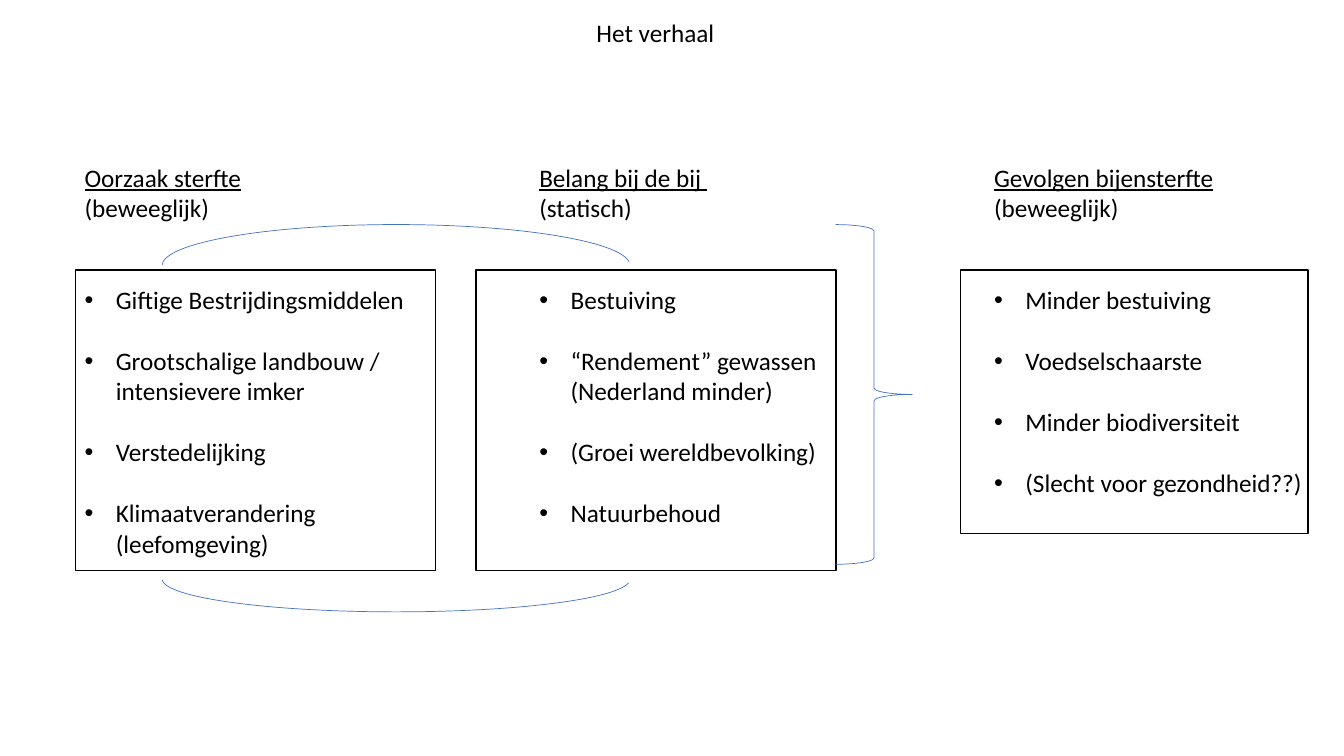
from lxml import etree
from pptx import Presentation
from pptx import util as u
from pptx.dml import color
from pptx.enum import shapes, text
from pptx.oxml import ns

COLORS = {"ink": "000000", "paper": "FFFFFF", "accent": "4472C4"}
FONT, SIZE, LINE = "Calibri", 18, 22
INDENT = 0.79

COLUMNS = [
    dict(heading="Oorzaak sterfte", note="(beweeglijk)", frame=(1.9, 6.8, 9.07, 7.57), height=11.02,
         items=["Giftige Bestrijdingsmiddelen", "Grootschalige landbouw / intensievere imker",
                "Verstedelijking", "Klimaatverandering (leefomgeving)"]),
    dict(heading="Belang bij de bij ", note="(statisch)", frame=(12, 6.8, 9.07, 7.57), height=11.78,
         items=["Bestuiving", "“Rendement” gewassen (Nederland minder)",
                "(Groei wereldbevolking)", "Natuurbehoud"]),
    dict(heading="Gevolgen bijensterfte", note="(beweeglijk)", frame=(24.2, 6.8, 8.76, 6.65), height=8.71,
         items=["Minder bestuiving", "Voedselschaarste", "Minder biodiversiteit",
                "(Slecht voor gezondheid??)"]),
]


def rgb(name):
    return color.RGBColor.from_string(COLORS[name])


def cm(box):
    return [u.Cm(v) for v in box]


def place(sp, box):
    sp.left, sp.top, sp.width, sp.height = cm(box)
    tf = sp.text_frame
    tf.word_wrap = True
    tf.auto_size = text.MSO_AUTO_SIZE.NONE
    tf.vertical_anchor = text.MSO_ANCHOR.TOP
    tf.margin_left = tf.margin_right = u.Cm(0.25)
    tf.margin_top = tf.margin_bottom = u.Cm(0.13)
    return tf


def add_text(tf, content, underline=False, bullet=False, before=0, align=text.PP_ALIGN.LEFT):
    p = tf.paragraphs[0] if not tf.text else tf.add_paragraph()
    p.alignment = align
    p.line_spacing = 1.0
    p.space_before, p.space_after = u.Pt(before), u.Pt(0)
    pPr = p._p.get_or_add_pPr()
    indent = u.Cm(INDENT) if bullet else 0
    pPr.set("marL", str(indent))
    pPr.set("indent", str(-indent))
    if bullet:
        etree.SubElement(pPr, ns.qn("a:buFont")).set("typeface", "Arial")
        etree.SubElement(pPr, ns.qn("a:buChar")).set("char", "•")
    else:
        etree.SubElement(pPr, ns.qn("a:buNone"))
    r = p.add_run()
    r.text = content
    r.font.name, r.font.size = FONT, u.Pt(SIZE)
    r.font.bold, r.font.underline = False, underline
    r.font.color.rgb = rgb("ink")


def add_outline(s, kind, box, line, weight, fill=None):
    sp = s.shapes.add_shape(kind, *cm(box))
    sp.shadow.inherit = False
    if fill:
        sp.fill.solid()
        sp.fill.fore_color.rgb = rgb(fill)
    else:
        sp.fill.background()
    sp.line.color.rgb = rgb(line)
    sp.line.width = u.Pt(weight)
    return sp


def title(s, box):
    add_text(place(s.shapes.title, box), "Het verhaal", align=text.PP_ALIGN.CENTER)


def column(s, body, box, heading, note, items, frame):
    add_outline(s, shapes.MSO_SHAPE.RECTANGLE, frame, "ink", 1, fill="paper")
    s.shapes._spTree.append(body._element)
    tf = place(body, box)
    add_text(tf, heading, underline=True)
    add_text(tf, note)
    for i, item in enumerate(items):
        add_text(tf, item, bullet=True, before=LINE if i else 2 * LINE)


def links(s, box):
    left, top, width, height = box
    arcs = [(top, 2.06, 108.09, 215.45), (top + height - 1.65, 1.65, 0.55, 107.91)]
    for y, h, start, end in arcs:
        arc = add_outline(s, shapes.MSO_SHAPE.ARC, (left, y, 11.79, h), "accent", 0.5)
        arc.adjustments[0], arc.adjustments[1] = start, end
    brace = (left + width - 1.93, top, 1.93, 8.56)
    add_outline(s, shapes.MSO_SHAPE.RIGHT_BRACE, brace, "accent", 0.5)


def story_slide(prs):
    s = prs.slides.add_slide(prs.slide_layouts.get_by_name("Comparison"))
    bodies = [ph for ph in s.placeholders if ph.placeholder_format.idx]
    title(s, (13.34, 0.3, 6.35, 1.02))
    for i, (body, col) in enumerate(zip(bodies, COLUMNS)):
        box = (1.88 + 11.46 * i, 3.96, 9.07, col["height"])
        column(s, body, box, col["heading"], col["note"], col["items"], col["frame"])
    for spare in bodies[len(COLUMNS):]:
        s.shapes._spTree.remove(spare._element)
    links(s, (4.09, 5.66, 18.9, 9.76))


prs = Presentation()
prs.slide_width, prs.slide_height = u.Cm(33.87), u.Cm(19.05)
story_slide(prs)
prs.save("out.pptx")
